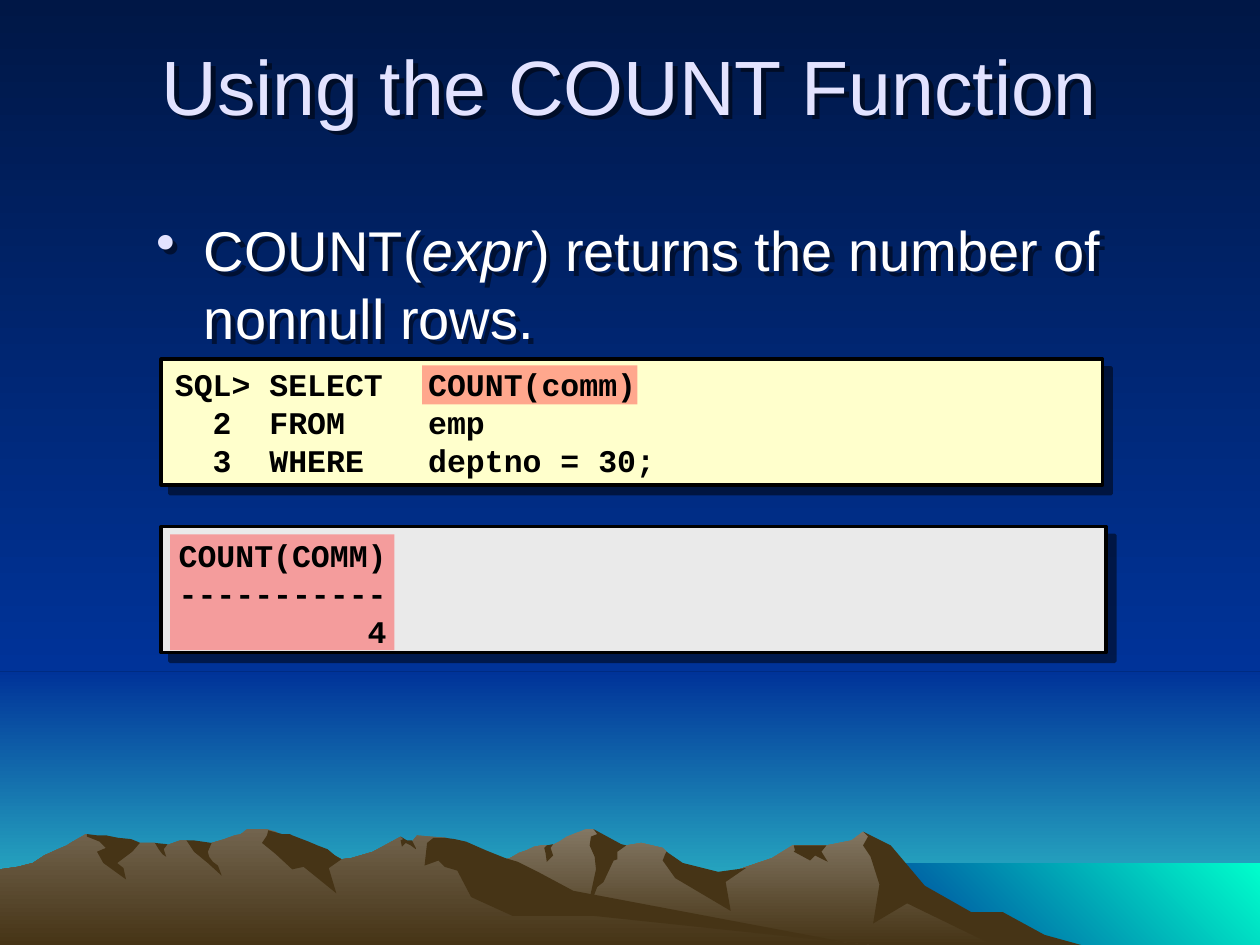
from lxml import etree
from pptx import Presentation
from pptx.dml.color import RGBColor
from pptx.enum.shapes import MSO_SHAPE
from pptx.enum.text import MSO_ANCHOR, PP_ALIGN
from pptx.oxml.ns import qn
from pptx.util import Pt

PX = 9144
WIDTH, HEIGHT = 1000, 750
RECTANGLE = MSO_SHAPE.RECTANGLE
TOP, MIDDLE = MSO_ANCHOR.TOP, MSO_ANCHOR.MIDDLE
LEFT, CENTER = PP_ALIGN.LEFT, PP_ALIGN.CENTER
DOWN, DOWN_LEFT = 270, 225

NIGHT = RGBColor(0x00, 0x17, 0x46)
BLUE = RGBColor(0x00, 0x33, 0x99)
TEAL = RGBColor(0x33, 0xCC, 0xCC)
AQUA = RGBColor(0x00, 0xFF, 0xCC)
STONE = RGBColor(0x83, 0x77, 0x63)
EARTH = RGBColor(0x72, 0x64, 0x4E)
BROWN = RGBColor(0x46, 0x34, 0x16)
CREAM = RGBColor(0xFF, 0xFF, 0xCC)
SILVER = RGBColor(0xEA, 0xEA, 0xEA)
RED = RGBColor(0xFF, 0x50, 0x50)
LAVENDER = RGBColor(0xE3, 0xE3, 0xFF)
WHITE = RGBColor(0xFF, 0xFF, 0xFF)
BLACK = RGBColor(0x00, 0x00, 0x00)

SCENERY = [
    ((0, 533, 1000, 217), (BLUE, TEAL, DOWN)),
    ((0, 0, 1000, 533), (NIGHT, BLUE, DOWN)),
    ((683, 685, 317, 65), (AQUA, BLUE, DOWN_LEFT)),
]

FAR_RIDGE = [
    (802, 740), (778, 727), (764, 723), (723, 698), (702, 671), (685, 660), (676, 667),
    (656, 671), (629, 671), (613, 681), (566, 697), (536, 690), (529, 676), (526, 673),
    (509, 669), (497, 671), (486, 673), (474, 661), (471, 658), (465, 658), (450, 664),
    (444, 668), (438, 671), (430, 671), (424, 672), (418, 675), (412, 677), (405, 681),
    (399, 683), (394, 685), (355, 698), (327, 709), (277, 739), (258, 750), (821, 750),
]
NEAR_RIDGE = [
    (690, 750), (667, 748), (432, 712), (354, 665), (331, 663), (327, 668), (323, 668),
    (318, 664), (296, 676), (279, 681), (271, 682), (260, 676), (236, 681), (223, 663),
    (219, 660), (212, 658), (196, 658), (191, 662), (186, 663), (178, 666), (168, 669),
    (160, 671), (148, 667), (143, 667), (132, 671), (128, 671), (123, 669), (111, 669),
    (94, 671), (68, 662), (56, 669), (53, 671), (46, 674), (35, 679), (26, 685),
    (14, 688), (0, 690), (0, 750),
]
FAR_SHADES = [
    [(796, 724), (771, 724), (734, 703), (707, 671), (685, 660), (689, 664), (685, 671),
     (691, 680), (698, 702), (693, 733), (720, 717), (788, 750), (858, 750), (829, 742)],
    [(471, 658), (474, 662), (469, 664), (468, 671), (472, 680), (473, 690), (465, 727),
     (474, 704), (479, 700), (487, 683), (490, 682), (490, 676), (497, 671), (493, 670)],
    [(529, 676), (528, 678), (526, 683), (536, 697), (580, 723), (576, 700), (592, 689),
     (570, 692), (542, 685)],
    [(650, 671), (630, 671), (631, 675), (630, 676), (643, 683), (647, 679), (657, 684),
     (652, 676), (656, 671)],
    [(433, 677), (432, 673), (434, 671), (439, 670), (437, 673), (439, 679), (434, 684)],
]
NEAR_SHADES = [
    [(212, 663), (208, 669), (219, 678), (232, 690), (241, 688), (267, 709), (261, 689),
     (271, 682), (266, 679), (260, 674), (252, 671), (245, 668), (232, 663), (230, 662),
     (224, 662), (213, 659)],
    [(370, 668), (361, 666), (354, 665), (344, 665), (339, 669), (337, 687), (348, 683),
     (353, 688), (363, 691), (374, 712), (407, 727), (472, 727), (690, 750), (683, 750),
     (455, 707), (427, 692), (411, 684), (401, 681), (386, 675)],
    [(318, 667), (320, 666), (318, 664), (323, 667), (327, 667), (330, 673), (330, 674),
     (326, 671), (322, 669), (319, 672)],
    [(154, 667), (161, 668), (168, 669), (165, 676), (166, 680), (169, 684), (173, 687),
     (176, 695), (165, 685), (154, 676), (148, 667)],
    [(133, 670), (130, 674), (132, 680), (129, 678), (126, 674), (123, 669)],
    [(109, 668), (111, 669), (105, 676), (93, 685), (98, 689), (100, 698), (82, 685),
     (77, 676), (84, 673), (79, 668), (69, 664), (69, 662), (77, 663), (84, 663),
     (94, 665), (104, 666)],
]
MOUNTAINS = [
    ([FAR_RIDGE], (STONE, BROWN, DOWN)), (FAR_SHADES, BROWN),
    ([NEAR_RIDGE], (EARTH, BROWN, DOWN)), (NEAR_SHADES, BROWN),
]

PANELS = [((128, 285, 747, 100), CREAM), ((128, 418, 750, 100), SILVER)]
HIGHLIGHTS = [(335, 290, 171, 31), (135, 424, 178, 92)]

TITLE_FONT = {"name": "Arial", "size": Pt(44)}
BODY_FONT = {"name": "Arial", "size": Pt(32)}
CODE_FONT = {"name": "Courier New", "size": Pt(18), "bold": True}
TEXTS = [
    {"box": (50, 25, 900, 125), "lines": [[("Using the COUNT Function", {})]],
     "font": TITLE_FONT, "color": LAVENDER, "align": CENTER, "pitch": 53, "shadow": 4},
    {"box": (114, 166, 808, 117), "font": BODY_FONT, "color": WHITE, "pitch": 38.8,
     "lines": [[("COUNT(", {}), ("expr", {"italic": True}),
                (") returns the number of nonnull rows.", {})]],
     "bullet": LAVENDER, "shadow": 4},
    {"box": (129, 283, 750, 103), "font": CODE_FONT, "color": BLACK, "pitch": 21.7,
     "lines": [[("SQL>\tSELECT\tCOUNT(comm)", {})], [("\t2\tFROM\temp", {})],
               [("\t3\tWHERE\tdeptno = 30;", {})]],
     "tabs": (30, 75, 201), "anchor": MIDDLE},
    {"box": (132, 420, 747, 100), "font": CODE_FONT, "color": BLACK, "pitch": 21.7,
     "lines": [[("COUNT(COMM)", {})], [("-----------", {})], [("\t4", {})]],
     "tabs": (150,)},
]


def set_all(target, values):
    for name, value in values.items():
        setattr(target, name, value)


def add_element(parent, tag, **attributes):
    values = {name: str(value) for name, value in attributes.items()}
    return etree.SubElement(parent, qn(tag), values)


def paint(fill, color):
    if isinstance(color, RGBColor):
        fill.solid()
        fill.fore_color.rgb = color
        return
    *stops, angle = color
    fill.gradient()
    fill.gradient_angle = angle
    for stop, stop_color in zip(fill.gradient_stops, stops):
        stop.color.rgb = stop_color


def finish(shape, color):
    shape.shadow.inherit = False
    paint(shape.fill, color)
    shape.line.fill.background()
    return shape


def add_rectangle(slide, box, color):
    return finish(slide.shapes.add_shape(RECTANGLE, *(value * PX for value in box)), color)


def add_outline(slide, points, color):
    builder = slide.shapes.build_freeform(*points[0], scale=PX)
    builder.add_line_segments(points[1:], close=True)
    finish(builder.convert_to_shape(), color)


def cast_shadow(shape, distance):
    shape.shadow.inherit = False
    effects = shape._element.spPr.find(qn("a:effectLst"))
    shadow = add_element(effects, "a:outerShdw", dist=Pt(distance), dir=45 * 60000,
                         algn="ctr", rotWithShape=0)
    color = add_element(shadow, "a:srgbClr", val=BLACK)
    add_element(color, "a:alpha", val=50000)


def format_paragraph(paragraph, text):
    set_all(paragraph, {"alignment": text.get("align", LEFT), "line_spacing": Pt(text["pitch"])})
    properties = paragraph._p.get_or_add_pPr()
    if "bullet" in text:
        properties.set("marL", str(38 * PX))
        properties.set("indent", str(-38 * PX))
        add_element(add_element(properties, "a:buClr"), "a:srgbClr", val=text["bullet"])
        add_element(properties, "a:buChar", char="•")
    if "tabs" in text:
        tab_list = add_element(properties, "a:tabLst")
        for position in text["tabs"]:
            add_element(tab_list, "a:tab", pos=position * PX, algn="l")


def add_text(slide, text):
    shape = slide.shapes.add_textbox(*(value * PX for value in text["box"]))
    frame = shape.text_frame
    set_all(frame, {"word_wrap": True, "vertical_anchor": text.get("anchor", TOP)})
    for index, line in enumerate(text["lines"]):
        paragraph = frame.add_paragraph() if index else frame.paragraphs[0]
        format_paragraph(paragraph, text)
        for words, style in line:
            run = paragraph.add_run()
            run.text = words
            set_all(run.font, text["font"] | style)
            run.font.color.rgb = text["color"]
    if "shadow" in text:
        cast_shadow(shape, text["shadow"])


def main():
    """Build the COUNT function slide over a mountain landscape."""
    presentation = Presentation()
    set_all(presentation, {"slide_width": WIDTH * PX, "slide_height": HEIGHT * PX})
    slide = presentation.slides.add_slide(presentation.slide_layouts[6])
    paint(slide.background.fill, (NIGHT, BLUE, DOWN))
    for box, color in SCENERY:
        add_rectangle(slide, box, color)
    for outlines, color in MOUNTAINS:
        for points in outlines:
            add_outline(slide, points, color)
    for box, color in PANELS:
        panel = add_rectangle(slide, box, color)
        panel.line.color.rgb = BLACK
        panel.line.width = Pt(2)
        cast_shadow(panel, 7.1)
    for box in HIGHLIGHTS:
        highlight = add_rectangle(slide, box, RED)
        color = highlight._element.spPr.find(qn("a:solidFill")).find(qn("a:srgbClr"))
        add_element(color, "a:alpha", val=50000)
    for text in TEXTS:
        add_text(slide, text)
    presentation.save("out.pptx")


if __name__ == "__main__":
    main()
